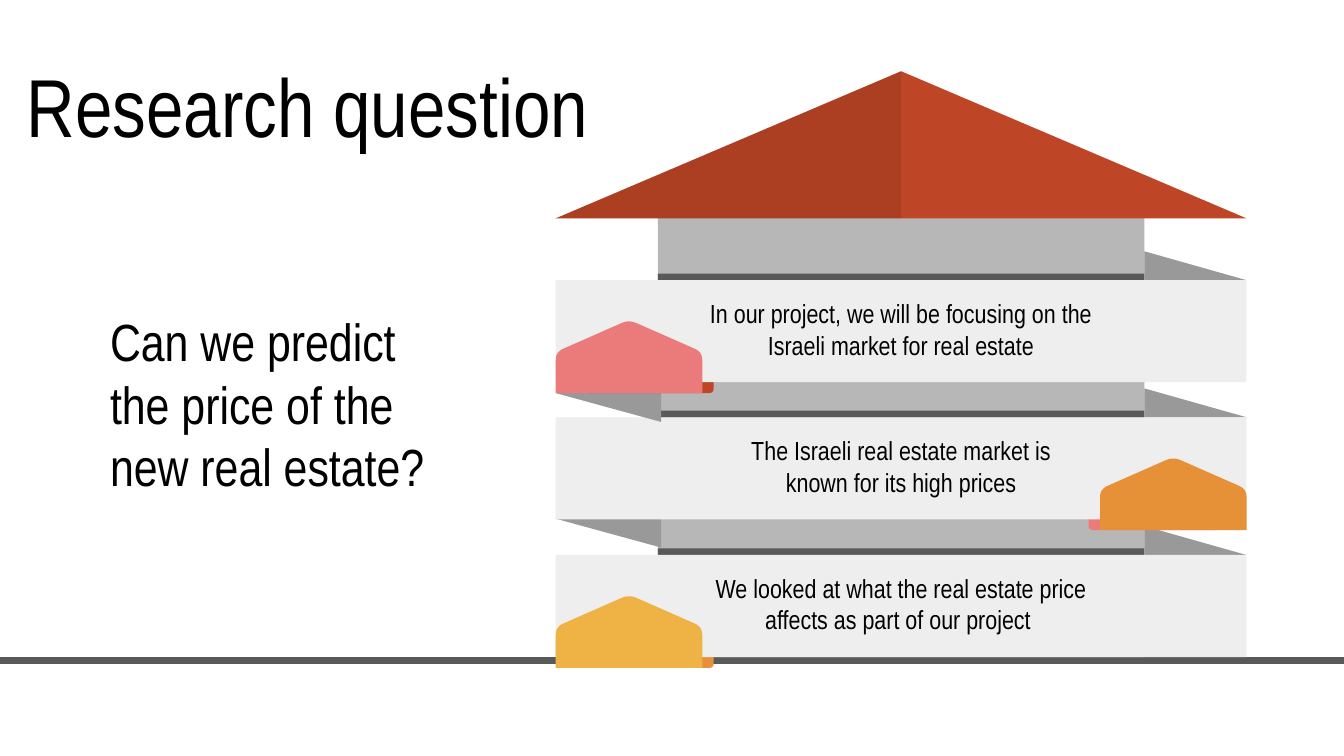
import pptx
import pptx.util
import pptx.dml.color
import pptx.enum.shapes
import pptx.enum.text
import pptx.oxml.ns
import lxml.etree

PX = 4572  # EMU per px, 200 px to the inch
FONT = "Arial Narrow"
SHAPE = pptx.enum.shapes.MSO_SHAPE
ALIGN = pptx.enum.text.PP_ALIGN
ANCHOR = pptx.enum.text.MSO_ANCHOR

WALL, SHADE, SLAB, DARK = "B7B7B7", "999999", "EEEEEE", "595959"
RED, PINK, ORANGE, YELLOW = "BE4626", "EB7B7B", "E69138", "EEB245"


def emu(px):
    return pptx.util.Emu(round(px * PX))


def rgb(value):
    return pptx.dml.color.RGBColor.from_string(value)


def paint(sp, color, alpha=None):
    sp.shadow.inherit = False
    sp.fill.solid()
    sp.fill.fore_color.rgb = rgb(color)
    sp.line.fill.background()
    if alpha is not None:
        clr = sp._element.spPr.find(".//" + pptx.oxml.ns.qn("a:srgbClr"))
        node = lxml.etree.SubElement(clr, pptx.oxml.ns.qn("a:alpha"))
        node.set("val", str(alpha * 1000))


def add_block(s, x, y, w, h, color, radius=0):
    kind = SHAPE.ROUNDED_RECTANGLE if radius else SHAPE.RECTANGLE
    sp = s.shapes.add_shape(kind, emu(x), emu(y), emu(w), emu(h))
    if radius:
        sp.adjustments[0] = radius / min(w, h)
    paint(sp, color)


def add_polygon(s, points, color, alpha=None):
    pts = [(emu(x), emu(y)) for x, y in points]
    fb = s.shapes.build_freeform(*pts[0])
    fb.add_line_segments(pts[1:], close=True)
    paint(fb.convert_to_shape(), color, alpha)


def add_text(s, x, y, w, h, text, size, align=ALIGN.LEFT, anchor=ANCHOR.TOP):
    tf = s.shapes.add_textbox(emu(x), emu(y), emu(w), emu(h)).text_frame
    tf.word_wrap = True
    tf.vertical_anchor = anchor
    tf.margin_left = tf.margin_right = tf.margin_top = tf.margin_bottom = emu(20)
    p = tf.paragraphs[0]
    p.text = text
    p.alignment = align
    p.font.size = pptx.util.Pt(size)
    p.font.name = FONT
    p.font.color.rgb = rgb("000000")


def round_corner(before, corner, after, cut, steps=8):
    """Points of a quadratic curve that replaces one corner."""
    def toward(end):
        dx, dy = end[0] - corner[0], end[1] - corner[1]
        k = cut / (dx * dx + dy * dy) ** 0.5
        return corner[0] + dx * k, corner[1] + dy * k

    a, b = toward(before), toward(after)
    return [tuple((1 - t) ** 2 * a[i] + 2 * t * (1 - t) * corner[i] + t * t * b[i]
                  for i in (0, 1))
            for t in (n / steps for n in range(steps + 1))]


def add_house(s, x, y, w, h, color):
    eave = y + 46
    outline = [(x, y + h), (x, eave), (x + w / 2, y - 2), (x + w, eave), (x + w, y + h)]
    points = [outline[0]]
    for i in (1, 2, 3):
        points += round_corner(*outline[i - 1:i + 2], 12)
    add_polygon(s, points + [outline[-1]], color)


def add_roof(s, x, y, w, h):
    mid = x + w / 2
    add_polygon(s, [(mid, y), (x, y + h), (x + w, y + h)], RED)
    add_polygon(s, [(mid, y), (x, y + h), (mid, y + h)], "000000", alpha=9)


def add_wall(s, x, y, w, h, sills):
    add_block(s, x, y, w, h, WALL)
    for sill in sills:
        add_block(s, x, sill, w, 10, DARK)


def add_floor(s, x, y, w, h, text, text_w, house, tab, on_right=False, fold=None):
    # Folds behind the slab
    if fold is not None:
        add_polygon(s, [(x, y + fold), (x + 157, y + fold + 43), (x + 157, y + fold)], SHADE)
    add_polygon(s, [(x + w - 152, y - 43), (x + w - 152, y), (x + w, y)], SHADE)
    # Slab with the house and its tab
    tab_w, house_w = 193, 218
    add_block(s, x + (w - 42 - tab_w if on_right else 42), y + 132, tab_w, 36, tab, radius=6)
    add_block(s, x, y, w, h, SLAB)
    add_house(s, x + (w - house_w if on_right else 0), y + 61, house_w, 107, house)
    # Caption
    add_text(s, x + (w - text_w) / 2, y + 6, text_w, 108, text, 14, ALIGN.CENTER)


def add_building(s, x, y, w):
    floors = [
        dict(text="In our project, we will be focusing on the Israeli market for real estate",
             text_w=680, house=PINK, tab=RED, fold=168),
        dict(text="The Israeli real estate market is known for its high prices",
             text_w=506, house=ORANGE, tab=PINK, on_right=True, fold=151),
        dict(text="We looked at what the real estate price affects as part of our project ",
             text_w=592, house=YELLOW, tab=ORANGE),
    ]
    tops = [y + 311 + round(204.5 * i) for i in range(len(floors))]
    add_wall(s, x + 152, y + 204, w - 304, 668, [top - 10 for top in tops])
    add_roof(s, x, y, w, 219)
    # From the ground up, so that each house covers the fold below it
    for top, floor in reversed(list(zip(tops, floors))):
        add_floor(s, x, top, w, 152, **floor)


def main():
    prs = pptx.Presentation()
    prs.slide_width, prs.slide_height = emu(2000), emu(1125)
    s = prs.slides.add_slide(prs.slide_layouts[6])
    # Ground
    add_block(s, 0, 978, 2000, 10, DARK)
    # Title and question
    add_text(s, 20, 63, 960, 186, "Research question", 44, anchor=ANCHOR.MIDDLE)
    add_text(s, 144, 440, 550, 196, "Can we predict the price of the new real estate?", 28)
    # Building
    add_building(s, 827, 106, 1028)
    prs.save("out.pptx")


if __name__ == "__main__":
    main()
